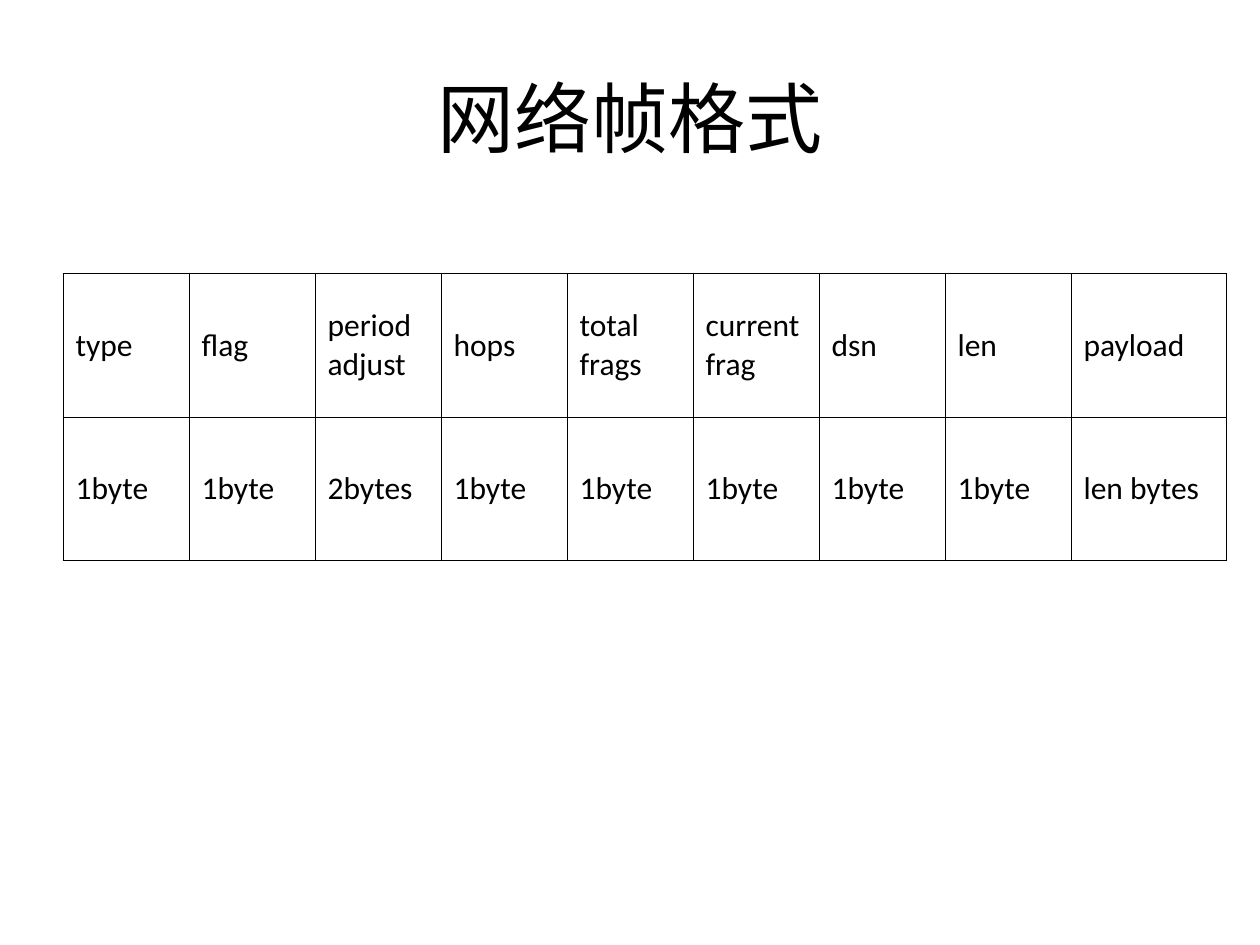
from lxml import etree
from pptx import Presentation
from pptx.dml.color import RGBColor
from pptx.enum.text import MSO_ANCHOR, PP_ALIGN
from pptx.oxml.ns import qn
from pptx.util import Inches, Pt

MIDDLE = MSO_ANCHOR.MIDDLE
LEFT, CENTER = PP_ALIGN.LEFT, PP_ALIGN.CENTER

TITLE = "网络帧格式"
FRAME_FIELDS = [
    ("type", "1byte"),
    ("flag", "1byte"),
    ("period adjust", "2bytes"),
    ("hops", "1byte"),
    ("total frags", "1byte"),
    ("current frag", "1byte"),
    ("dsn", "1byte"),
    ("len", "1byte"),
    ("payload", "len bytes"),
]

THEME = {
    "ink": "000000",
    "title_font": "Arial",
    "title_size": 44,
    "cell_font": "Calibri",
    "cell_size": 18,
    "border_width": 0.45,
}
TITLE_BOX = (0.5, 0.3, 9, 1.25)
TABLE_LEFT, TABLE_TOP = 0.5, 2.17
FIELD_WIDTH, PAYLOAD_WIDTH, ROW_HEIGHT = 1, 1.23, 1.14
TABLE_ROWS = list(zip(*FRAME_FIELDS))
COLUMN_WIDTHS = [FIELD_WIDTH] * (len(FRAME_FIELDS) - 1) + [PAYLOAD_WIDTH]


def write_text(text_frame, text, *, font, size, align=LEFT):
    text_frame.word_wrap = True
    paragraph = text_frame.paragraphs[0]
    paragraph.alignment = align
    run = paragraph.add_run()
    run.text = text
    run.font.name = font
    run.font.size = Pt(size)
    run.font.color.rgb = RGBColor.from_string(THEME["ink"])


def add_borders(cell):
    properties = cell._tc.get_or_add_tcPr()
    for side in ("lnL", "lnR", "lnT", "lnB"):
        line = etree.SubElement(
            properties, qn(f"a:{side}"), w=str(Pt(THEME["border_width"]))
        )
        fill = etree.SubElement(line, qn("a:solidFill"))
        etree.SubElement(fill, qn("a:srgbClr"), val=THEME["ink"])


def add_title(slide):
    title = slide.shapes.title
    title.left, title.top, title.width, title.height = map(Inches, TITLE_BOX)
    title.text_frame.vertical_anchor = MIDDLE
    write_text(title.text_frame, TITLE, font=THEME["title_font"],
               size=THEME["title_size"], align=CENTER)


def add_frame_table(slide):
    table = slide.shapes.add_table(
        len(TABLE_ROWS), len(COLUMN_WIDTHS),
        Inches(TABLE_LEFT), Inches(TABLE_TOP),
        Inches(sum(COLUMN_WIDTHS)), Inches(ROW_HEIGHT * len(TABLE_ROWS)),
    ).table
    table.first_row = False
    table.horz_banding = False
    for column, width in zip(table.columns, COLUMN_WIDTHS):
        column.width = Inches(width)
    for row, texts in zip(table.rows, TABLE_ROWS):
        row.height = Inches(ROW_HEIGHT)
        for cell, text in zip(row.cells, texts):
            add_borders(cell)
            cell.fill.background()
            cell.vertical_anchor = MIDDLE
            write_text(cell.text_frame, text, font=THEME["cell_font"],
                       size=THEME["cell_size"])


def main():
    presentation = Presentation()
    presentation.slide_width = Inches(10)
    presentation.slide_height = Inches(7.5)
    title_only = presentation.slide_layouts.get_by_name("Title Only")
    slide = presentation.slides.add_slide(title_only)
    add_title(slide)
    add_frame_table(slide)
    presentation.save("out.pptx")


if __name__ == "__main__":
    main()
